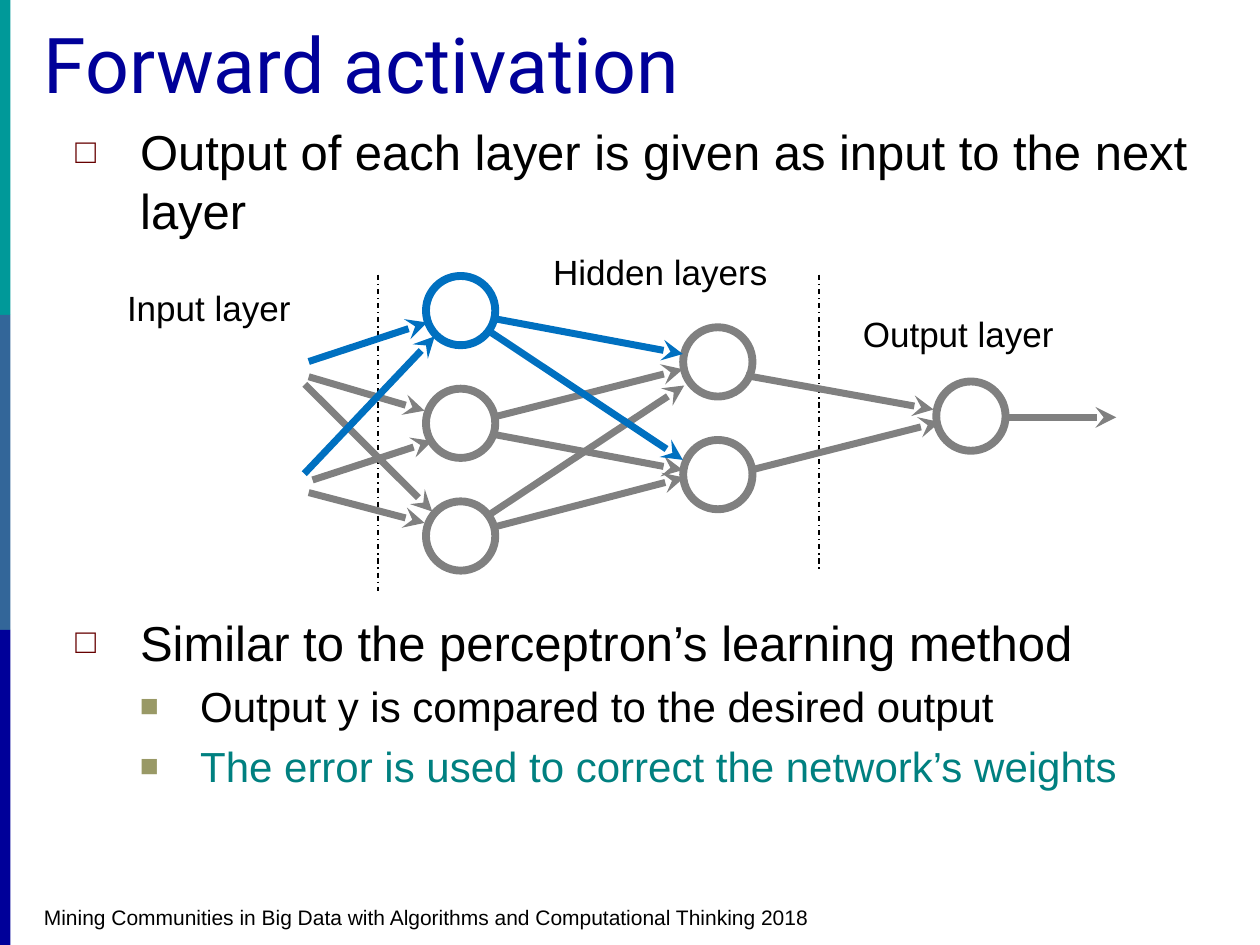
from dataclasses import dataclass

from lxml import etree
from pptx import Presentation
from pptx.dml.color import RGBColor
from pptx.enum.dml import MSO_LINE
from pptx.enum.shapes import MSO_CONNECTOR, MSO_SHAPE
from pptx.enum.text import MSO_ANCHOR
from pptx.oxml.ns import qn
from pptx.util import Pt

STRAIGHT = MSO_CONNECTOR.STRAIGHT
RECTANGLE, OVAL = MSO_SHAPE.RECTANGLE, MSO_SHAPE.OVAL
DASH_DOT = MSO_LINE.DASH_DOT
TOP, BOTTOM = MSO_ANCHOR.TOP, MSO_ANCHOR.BOTTOM


@dataclass(frozen=True)
class Theme:
    heading_font: str = "Roboto"
    body_font: str = "Arial"
    title_size: float = 44
    bullet_size: float = 28
    sub_bullet_size: float = 24
    label_size: float = 20
    footer_size: float = 12
    navy: str = "000099"
    teal: str = "009999"
    steel: str = "336699"
    black: str = "000000"
    white: str = "FFFFFF"
    emphasis: str = "008080"
    bullet_mark: str = "660000"
    sub_bullet_mark: str = "999966"
    active: str = "0070C0"
    inactive: str = "808080"


THEME = Theme()
NODE_SIZE = 39.6


def rgb(color):
    return RGBColor.from_string(color)


def add_text_box(slide, left, top, width, height, anchor=TOP, wrap=True):
    box = slide.shapes.add_textbox(Pt(left), Pt(top), Pt(width), Pt(height))
    frame = box.text_frame
    frame.word_wrap = wrap
    frame.vertical_anchor = anchor
    return frame


def add_run(paragraph, text, size, color=THEME.black, font=THEME.body_font):
    run = paragraph.add_run()
    run.text = text
    run.font.name = font
    run.font.size = Pt(size)
    run.font.color.rgb = rgb(color)


def add_label(slide, text, left, top, width, height, line_spacing=None):
    frame = add_text_box(slide, left, top, width, height, wrap=False)
    paragraph = frame.paragraphs[0]
    paragraph.line_spacing = line_spacing
    add_run(paragraph, text, THEME.label_size)


def set_bullet(paragraph, mark, color, percent, margin, hanging):
    properties = paragraph._p.get_or_add_pPr()
    properties.set("marL", str(Pt(margin)))
    properties.set("indent", str(-Pt(hanging)))
    bullet_color = etree.SubElement(properties, qn("a:buClr"))
    etree.SubElement(bullet_color, qn("a:srgbClr"), val=color)
    etree.SubElement(properties, qn("a:buSzPct"), val=str(percent * 1000))
    etree.SubElement(properties, qn("a:buFont"), typeface=THEME.body_font)
    etree.SubElement(properties, qn("a:buChar"), char=mark)


def add_bullets(slide, top, height, items):
    """Each item is (text, level, colour)."""
    frame = add_text_box(slide, 36, top, 666, height)
    for index, (text, level, color) in enumerate(items):
        paragraph = frame.add_paragraph() if index else frame.paragraphs[0]
        if level:
            set_bullet(paragraph, "■", THEME.sub_bullet_mark, 75, 71.3, 34.5)
            size = THEME.sub_bullet_size
        else:
            set_bullet(paragraph, "□", THEME.bullet_mark, 70, 37, 37)
            size = THEME.bullet_size
        paragraph.level = level
        paragraph.space_before = Pt(5.5 if index else 0)
        add_run(paragraph, text, size, color)


def add_line(slide, start, end, color, width):
    line = slide.shapes.add_connector(STRAIGHT, *map(Pt, start + end))
    line.line.color.rgb = rgb(color)
    line.line.width = Pt(width)
    etree.SubElement(line._element.spPr, qn("a:effectLst"))
    return line


def add_divider(slide, x, bottom):
    line = add_line(slide, (x, 157), (x, bottom), THEME.black, 0.75)
    line.line.dash_style = DASH_DOT


def add_arrow(slide, start, end, color):
    line = add_line(slide, start, end, color, 4)
    etree.SubElement(line.line._get_or_add_ln(), qn("a:tailEnd"), type="stealth")


def add_node(slide, left, top, color):
    node = slide.shapes.add_shape(OVAL, Pt(left), Pt(top), Pt(NODE_SIZE), Pt(NODE_SIZE))
    node.shadow.inherit = False
    node.fill.solid()
    node.fill.fore_color.rgb = rgb(THEME.white)
    node.line.color.rgb = rgb(color)
    node.line.width = Pt(4.5)


def add_side_bands(slide):
    for index, color in enumerate((THEME.teal, THEME.steel, THEME.navy)):
        band = slide.shapes.add_shape(RECTANGLE, 0, Pt(180 * index), Pt(6), Pt(180))
        band.shadow.inherit = False
        band.fill.solid()
        band.fill.fore_color.rgb = rgb(color)
        band.line.fill.background()


def add_network(slide):
    add_divider(slide, 216, 337.7)
    add_divider(slide, 468, 326)

    layers = ((243.4, 157.7, 3), (390.4, 187, 2), (535, 218, 1))
    for layer, (left, top, count) in enumerate(layers):
        for row in range(count):
            is_active = layer == 0 and row == 0
            color = THEME.active if is_active else THEME.inactive
            add_node(slide, left, top + 64.4 * row, color)

    active_edges = (
        ((283, 182.2), (390.2, 202.3)),
        ((280.8, 190.1), (390.2, 262.8)),
        ((176.4, 206.6), (244.1, 184.3)),
        ((173.9, 270.7), (248.4, 192.2)),
    )
    inactive_edges = (
        ((283, 301), (391, 272.9)),
        ((280.1, 293.8), (391, 220.3)),
        ((283, 248.4), (390.2, 268.6)),
        ((282.2, 238.3), (390.2, 211)),
        ((426.2, 214.6), (533.5, 234)),
        ((429.1, 268.6), (537.1, 241.2)),
        ((575.3, 238.5), (637.9, 238.5)),
        ((178.6, 274.3), (247, 252)),
        ((176.4, 281.5), (242.6, 298.8)),
        ((176.4, 215.3), (242.6, 234.7)),
        ((174.2, 219.6), (247, 292.3)),
    )
    for edges, color in ((inactive_edges, THEME.inactive), (active_edges, THEME.active)):
        for start, end in edges:
            add_arrow(slide, start, end, color)

    add_label(slide, "Input layer", 65.5, 160, 108.7, 31.5)
    add_label(slide, "Hidden layers", 309, 144, 138.2, 26.6, line_spacing=0.8)
    add_label(slide, "Output layer", 486, 175, 124.6, 31.5)


def main():
    presentation = Presentation()
    presentation.slide_width, presentation.slide_height = Pt(720), Pt(540)
    slide = presentation.slides.add_slide(presentation.slide_layouts[6])

    add_side_bands(slide)
    title = add_text_box(slide, 18, 12, 684, 54, anchor=BOTTOM)
    add_run(title.paragraphs[0], "Forward activation",
            THEME.title_size, THEME.navy, THEME.heading_font)
    add_bullets(slide, 66.2, 75, (
        ("Output of each layer is given as input to the next layer", 0, THEME.black),
    ))
    add_network(slide)
    add_bullets(slide, 346.3, 110, (
        ("Similar to the perceptron’s learning method", 0, THEME.black),
        ("Output y is compared to the desired output", 1, THEME.black),
        ("The error is used to correct the network’s weights", 1, THEME.emphasis),
    ))
    footer = add_text_box(slide, 18, 513.4, 551.5, 21.6)
    add_run(footer.paragraphs[0],
            "Mining Communities in Big Data with Algorithms and Computational Thinking 2018",
            THEME.footer_size)

    presentation.save("out.pptx")


if __name__ == "__main__":
    main()
